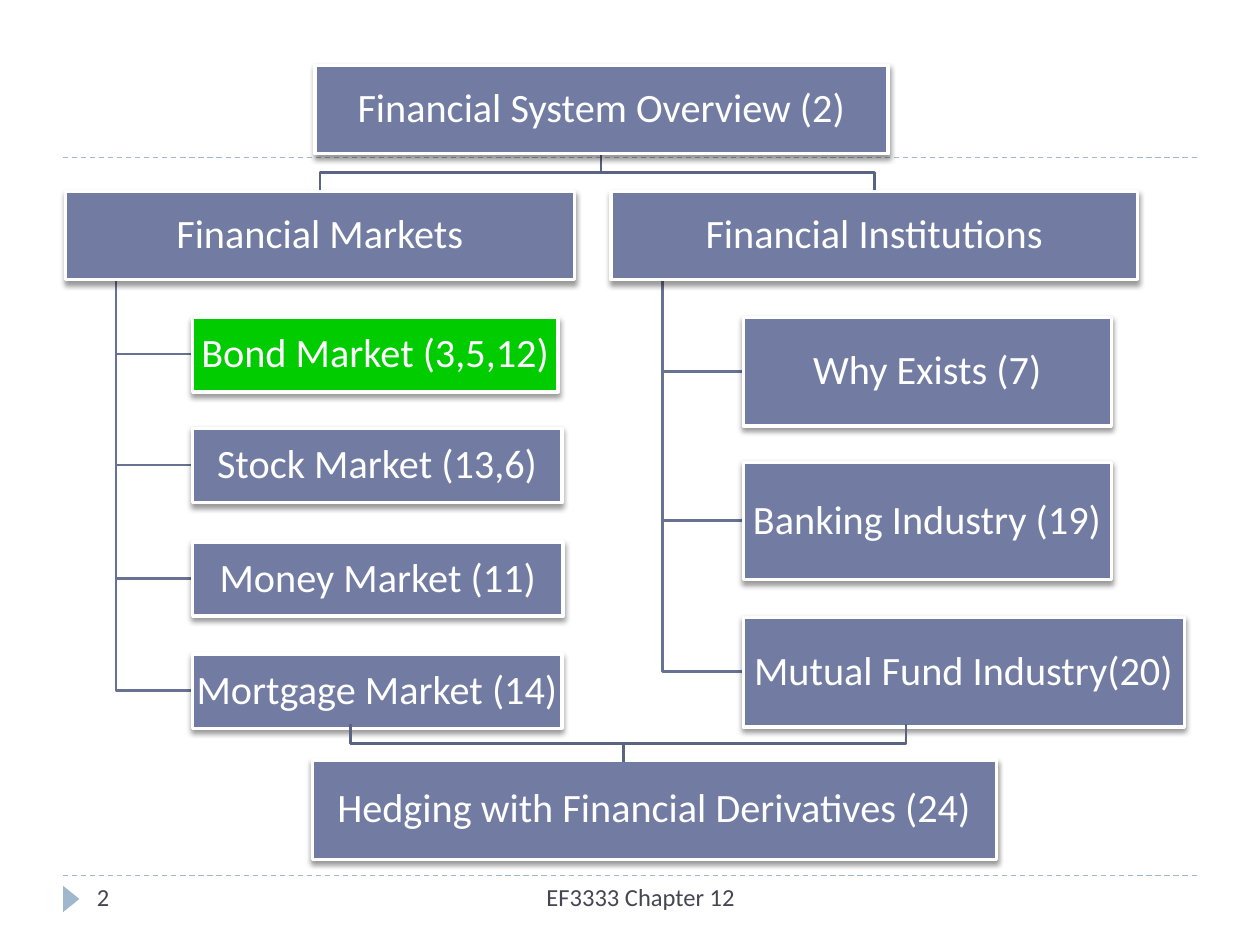
from dataclasses import dataclass

from pptx import Presentation
from pptx import util as u
from pptx.dml.color import RGBColor
from pptx.enum import dml, shapes, text
from pptx.oxml import parse_xml
from pptx.oxml.ns import nsdecls, qn

PX = u.Inches(1) // 100


@dataclass(frozen=True)
class Theme:
    box: str = "727CA3"
    highlight: str = "00CC00"
    light: str = "FFFFFF"
    link: str = "5B6383"
    branch: str = "677194"
    accent: str = "9FB8CD"
    footer: str = "464653"
    font: str = "Calibri"
    box_size: int = 23
    footer_size: int = 14
    border: int = 2
    link_width: float = 1.5
    rule_width: float = 0.75


THEME = Theme()


@dataclass(frozen=True)
class Box:
    label: str
    left: int
    top: int
    width: int
    height: int
    fill: str = THEME.box

    @property
    def center(self) -> int:
        return self.left + self.width // 2

    @property
    def middle(self) -> int:
        return self.top + self.height // 2

    @property
    def bottom(self) -> int:
        return self.top + self.height


@dataclass(frozen=True)
class Branch:
    parent: Box
    children: tuple[Box, ...]


OVERVIEW = Box("Financial System Overview (2)", 250, 52, 455, 70)
BRANCHES = (
    Branch(
        Box("Financial Markets", 52, 152, 404, 70),
        (
            Box("Bond Market (3,5,12)", 153, 252, 290, 59, THEME.highlight),
            Box("Stock Market (13,6)", 153, 340, 293, 59),
            Box("Money Market (11)", 153, 430, 294, 59),
            Box("Mortgage Market (14)", 153, 519, 293, 59),
        ),
    ),
    Branch(
        Box("Financial Institutions", 485, 152, 418, 70),
        (
            Box("Why Exists (7)", 590, 252, 292, 86),
            Box("Banking Industry (19)", 590, 367, 292, 93),
            Box("Mutual Fund Industry(20)", 590, 490, 350, 87),
        ),
    ),
)
HEDGING = Box("Hedging with Financial Derivatives (24)", 248, 603, 543, 79)
FOOTERS = (
    (Box("EF3333 Chapter 12", 317, 695, 383, 40), text.PP_ALIGN.CENTER),
    (Box("2", 67, 695, 217, 40), text.PP_ALIGN.LEFT),
)


def color(value: str) -> RGBColor:
    return RGBColor.from_string(value)


def frame(box: Box) -> tuple[int, ...]:
    return tuple(n * PX for n in (box.left, box.top, box.width, box.height))


def write(shape, label: str, size: int, font_color: str, alignment) -> None:
    shape.text_frame.text = label
    shape.text_frame.word_wrap = True
    paragraph = shape.text_frame.paragraphs[0]
    paragraph.alignment = alignment
    font = paragraph.runs[0].font
    font.name, font.size = THEME.font, u.Pt(size)
    font.color.rgb = color(font_color)


def add_box(slide, box: Box) -> None:
    shape = slide.shapes.add_shape(shapes.MSO_SHAPE.RECTANGLE, *frame(box))
    shape.fill.solid()
    shape.fill.fore_color.rgb = color(box.fill)
    shape.line.color.rgb = color(THEME.light)
    shape.line.width = u.Pt(THEME.border)
    shape.shadow.inherit = False
    effects = shape._element.spPr.find(qn("a:effectLst"))
    effects.append(parse_xml(
        f'<a:outerShdw {nsdecls("a")} blurRad="{u.Pt(3)}" dist="{u.Pt(2)}" '
        'dir="5400000" rotWithShape="0"><a:srgbClr val="000000">'
        '<a:alpha val="40000"/></a:srgbClr></a:outerShdw>'
    ))
    write(shape, box.label, THEME.box_size, THEME.light, text.PP_ALIGN.CENTER)
    text_frame = shape.text_frame
    text_frame.vertical_anchor = text.MSO_ANCHOR.MIDDLE
    text_frame.margin_left = text_frame.margin_right = 2 * PX
    text_frame.margin_top = text_frame.margin_bottom = 2 * PX
    text_frame.paragraphs[0].line_spacing = 0.9


def add_path(slide, points: list[tuple[int, int]], line_color: str) -> None:
    builder = slide.shapes.build_freeform(*points[0], scale=PX)
    builder.add_line_segments(points[1:], close=False)
    shape = builder.convert_to_shape()
    shape.fill.background()
    shape.line.color.rgb = color(line_color)
    shape.line.width = u.Pt(THEME.link_width)
    shape.shadow.inherit = False


def add_fork(slide, stem: int, tip: int, start: int, end: int) -> None:
    bend = (start + end) // 2
    add_path(slide, [(stem, start), (stem, bend), (tip, bend), (tip, end)], THEME.link)


def add_branch_lines(slide, branch: Branch) -> None:
    parent = branch.parent
    trunk = parent.left + parent.width // 10
    for child in branch.children:
        points = [(trunk, parent.bottom), (trunk, child.middle), (child.left, child.middle)]
        add_path(slide, points, THEME.branch)


def add_rule(slide, y: int) -> None:
    rule = slide.shapes.add_connector(
        shapes.MSO_CONNECTOR.STRAIGHT, 50 * PX, y * PX, 950 * PX, y * PX
    )
    rule.line.color.rgb = color(THEME.accent)
    rule.line.width = u.Pt(THEME.rule_width)
    rule.line.dash_style = dml.MSO_LINE.DASH
    rule._element.spPr.append(parse_xml(f'<a:effectLst {nsdecls("a")}/>'))


def add_footer(slide) -> None:
    marker = slide.shapes.add_shape(
        shapes.MSO_SHAPE.ISOSCELES_TRIANGLE, 46 * PX, 707 * PX, 21 * PX, 13 * PX
    )
    marker.rotation = 90
    marker.fill.solid()
    marker.fill.fore_color.rgb = color(THEME.accent)
    marker.line.fill.background()
    marker.shadow.inherit = False
    for box, alignment in FOOTERS:
        shape = slide.shapes.add_textbox(*frame(box))
        write(shape, box.label, THEME.footer_size, THEME.footer, alignment)


def main() -> None:
    presentation = Presentation()
    presentation.slide_width, presentation.slide_height = 1000 * PX, 750 * PX
    slide = presentation.slides.add_slide(presentation.slide_layouts[6])
    for y in (125, 695):
        add_rule(slide, y)
    add_footer(slide)
    for branch in BRANCHES:
        add_branch_lines(slide, branch)
        add_fork(slide, OVERVIEW.center, branch.parent.center, OVERVIEW.bottom, branch.parent.top)
    add_box(slide, OVERVIEW)
    for branch in BRANCHES:
        for box in (branch.parent, *branch.children):
            add_box(slide, box)
    add_box(slide, HEDGING)
    for tip in (278, 719):
        add_fork(slide, 495, tip, 605, 575)
    presentation.save("out.pptx")


if __name__ == "__main__":
    main()
